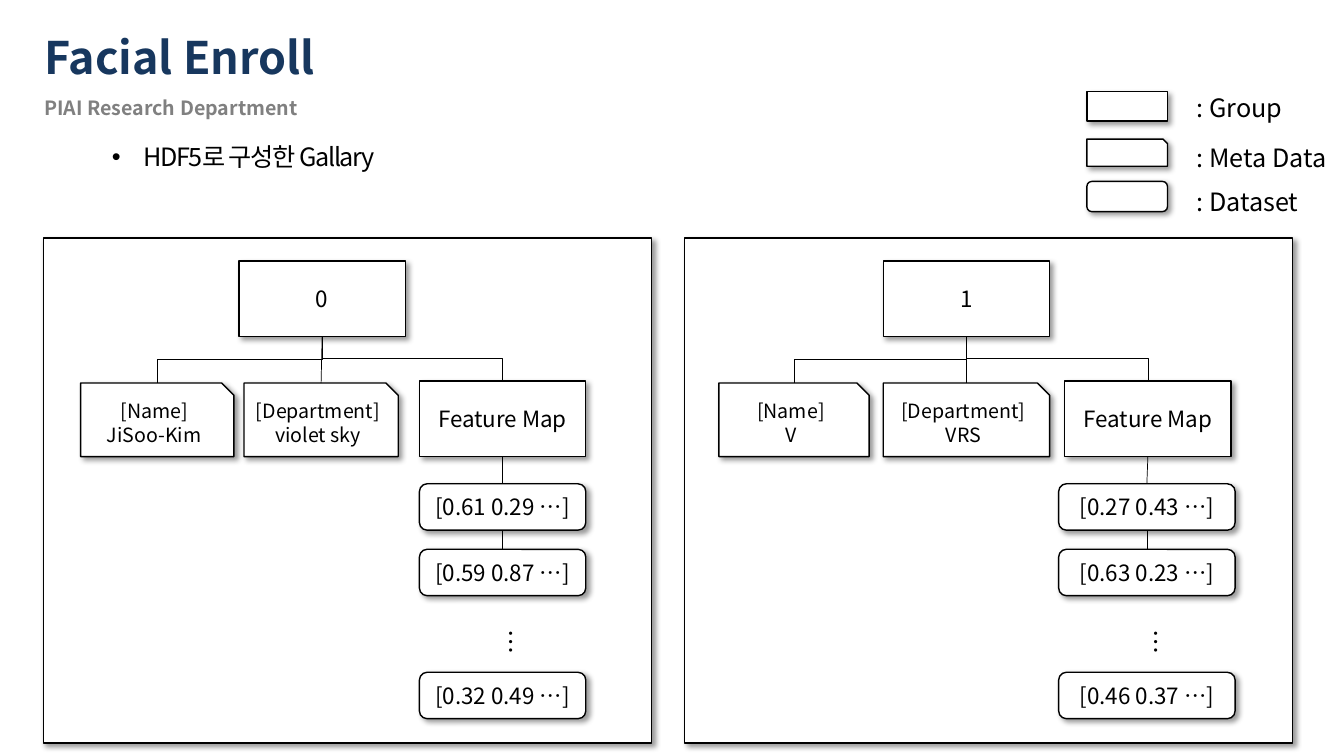
"""Facial Enroll slide: two HDF5 gallery trees with a legend of node kinds."""
from lxml.etree import SubElement
from pptx import Presentation
from pptx.dml.color import RGBColor
from pptx.enum.shapes import MSO_CONNECTOR, MSO_SHAPE
from pptx.enum.text import MSO_ANCHOR, MSO_AUTO_SIZE, PP_ALIGN
from pptx.oxml.ns import qn
from pptx.util import Inches, Pt

COLORS = {"title": "17375E", "subtitle": "808080", "ink": "000000", "paper": "FFFFFF"}
FONT = "Noto Sans CJK KR"
GROUP = MSO_SHAPE.RECTANGLE
META = MSO_SHAPE.SNIP_1_RECTANGLE
DATASET = MSO_SHAPE.ROUNDED_RECTANGLE

prs = Presentation()
prs.slide_width, prs.slide_height = Inches(13.33), Inches(7.5)
slide = prs.slides.add_slide(prs.slide_layouts[1])
shapes = slide.shapes


def write(shape, text, size, color="ink", bold=False, align=PP_ALIGN.LEFT,
          anchor=MSO_ANCHOR.TOP, wrap=True):
    """Put text in a shape and format its runs."""
    frame = shape.text_frame
    frame.text = text
    frame.word_wrap = wrap
    frame.auto_size = MSO_AUTO_SIZE.NONE
    frame.vertical_anchor = anchor
    for paragraph in frame.paragraphs:
        paragraph.alignment = align
        for run in paragraph.runs:
            run.font.size = Pt(size)
            run.font.bold = bold
            run.font.color.rgb = RGBColor.from_string(COLORS[color])
            run.font.name = FONT
            SubElement(run.font._element, qn("a:ea"), typeface=FONT)


def node(kind, left, top, width, height, text="", size=16):
    """Draw a white outlined shape with a soft shadow and centred text."""
    shape = shapes.add_shape(kind, *map(Inches, (left, top, width, height)))
    shape.fill.solid()
    shape.fill.fore_color.rgb = RGBColor.from_string(COLORS["paper"])
    shape.line.color.rgb = RGBColor.from_string(COLORS["ink"])
    shape.line.width = Pt(1)
    shape.shadow.inherit = False
    effects = shape._element.spPr.find(qn("a:effectLst"))
    shadow = SubElement(effects, qn("a:outerShdw"), blurRad=str(Pt(4)), dist=str(Pt(3)),
                        dir="2700000", algn="tl", rotWithShape="0")
    tint = SubElement(shadow, qn("a:srgbClr"), val=COLORS["ink"])
    SubElement(tint, qn("a:alpha"), val="40000")
    if text:
        write(shape, text, size, align=PP_ALIGN.CENTER, anchor=MSO_ANCHOR.MIDDLE)
    return shape


title, topic = slide.placeholders
title.left, title.top, title.width, title.height = map(Inches, (0.34, 0.24, 6.23, 0.64))
write(title, "Facial Enroll", 32, "title", True)

topic.left, topic.top, topic.width, topic.height = map(Inches, (0.51, 1.31, 11.79, 0.34))
write(topic, "HDF5로 구성한 Gallary", 18, anchor=MSO_ANCHOR.MIDDLE)
bullet = topic.text_frame.paragraphs[0]
bullet.level = 1
bullet.line_spacing = 1.5
bullet.space_before = Pt(0)
bullet_format = bullet._p.get_or_add_pPr()
bullet_format.set("marL", str(Inches(0.81)))
bullet_format.set("indent", str(Inches(-0.31)))
SubElement(bullet_format, qn("a:buFont"), typeface="Arial")
SubElement(bullet_format, qn("a:buChar"), char="•")
bullet.runs[0].font._element.set("spc", "-100")

subtitle = shapes.add_textbox(*map(Inches, (0.34, 0.9, 6.03, 0.34)))
write(subtitle, "PIAI Research Department", 14, "subtitle", True)

LEGEND = [
    (GROUP, 0.91, 0.29, ": Group", 0.87),
    (META, 1.38, 0.27, ": Meta Data", 1.36),
    (DATASET, 1.8, 0.3, ": Dataset", 1.8),
]
for kind, top, height, label, label_top in LEGEND:
    node(kind, 10.78, top, 0.8, height)
    caption = shapes.add_textbox(*map(Inches, (11.77, label_top, 1.5, 0.4)))
    write(caption, label, 18, wrap=False)

TREES = [
    dict(panel=0.43, root=2.37, key="0", name=(0.8, 1.52, "JiSoo-Kim"),
         department=(2.42, 1.53, "violet sky"), features=4.16, vectors=(4.16, 1.65),
         values=["0.61 0.29", "0.59 0.87", "0.32 0.49"], dots=4.77),
    dict(panel=6.79, root=8.76, key="1", name=(7.13, 1.49, "V"),
         department=(8.76, 1.65, "VRS"), features=10.56, vectors=(10.5, 1.75),
         values=["0.27 0.43", "0.63 0.23", "0.46 0.37"], dots=11.17),
]
VECTOR_TOPS = (4.8, 5.45, 6.67)
links = []
for tree in TREES:
    node(GROUP, tree["panel"], 2.36, 6.03, 5.01)
    root = node(GROUP, tree["root"], 2.59, 1.65, 0.75, tree["key"])
    name, department = [
        node(META, left, 3.8, width, 0.73, f"[{field}]\n{value}", 14)
        for field, (left, width, value) in (("Name", tree["name"]),
                                            ("Department", tree["department"]))
    ]
    features = node(GROUP, tree["features"], 3.78, 1.65, 0.75, "Feature Map")
    left, width = tree["vectors"]
    vectors = [node(DATASET, left, top, width, 0.46, f"[{value} …]")
               for top, value in zip(VECTOR_TOPS, tree["values"])]
    dots = shapes.add_textbox(*map(Inches, (tree["dots"], 6.15, 0.5, 0.33)))
    write(dots, "…", 18, wrap=False)
    dots.text_frame._txBody.bodyPr.set("vert", "eaVert")

    for parent, child in ((root, department), (features, vectors[0]),
                          (vectors[0], vectors[1])):
        link = shapes.add_connector(MSO_CONNECTOR.STRAIGHT, 0, 0, 0, 0)
        link.begin_connect(parent, 2)
        link.end_connect(child, 0)
        links.append(link)

    for child in (name, features):
        start_x, start_y = root.left + root.width // 2, root.top + root.height
        end_x, end_y = child.left + child.width // 2, child.top
        middle_x, middle_y = (start_x + end_x) // 2, (start_y + end_y) // 2
        half_run, half_drop = abs(end_x - start_x) // 2, (end_y - start_y) // 2
        side = 1 if end_x > start_x else -1
        link = shapes.add_connector(
            MSO_CONNECTOR.ELBOW, middle_x + side * half_drop, middle_y - half_run,
            middle_x - side * half_drop, middle_y + half_run)
        quarter_turns = 3 if side == 1 else 1
        link._element.spPr.find(qn("a:xfrm")).set("rot", str(quarter_turns * 5400000))
        links.append(link)

for link in links:
    link.line.color.rgb = RGBColor.from_string(COLORS["ink"])
    link.line.width = Pt(0.5)
    SubElement(link._element.spPr, qn("a:effectLst"))

prs.save("out.pptx")
